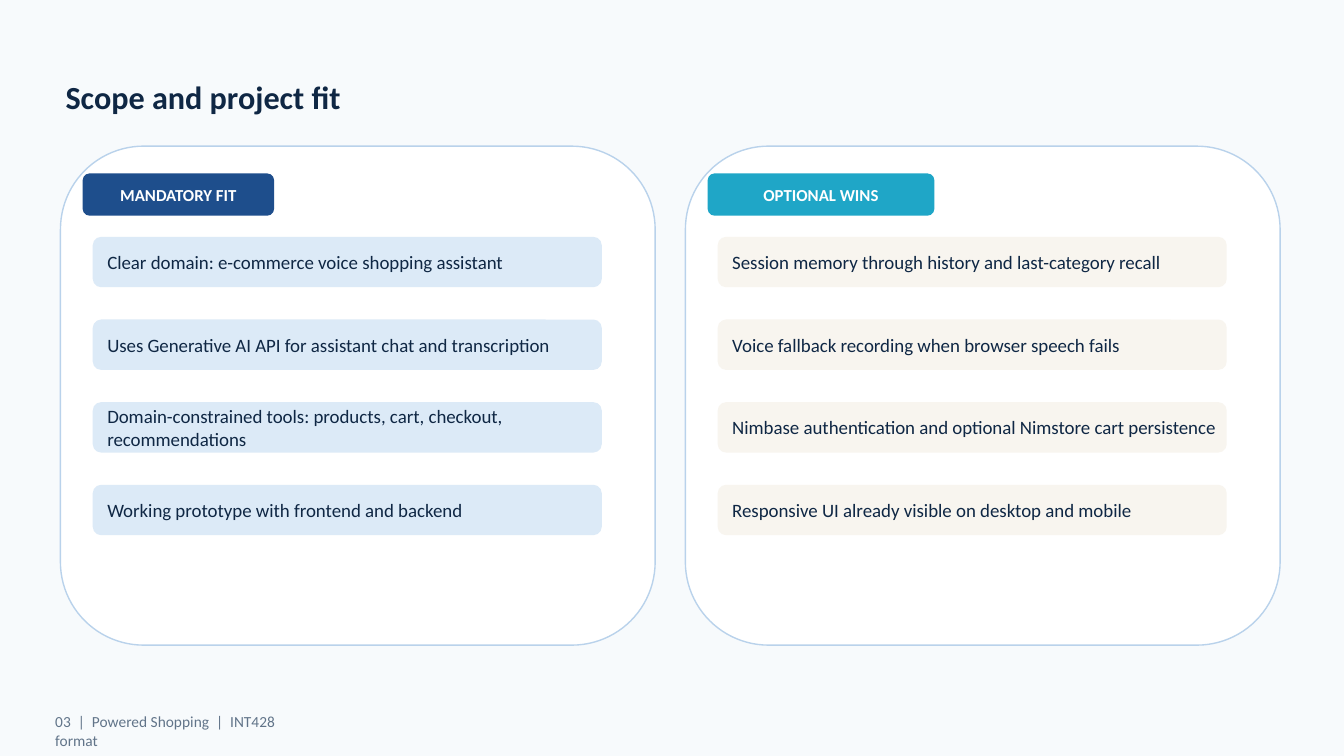
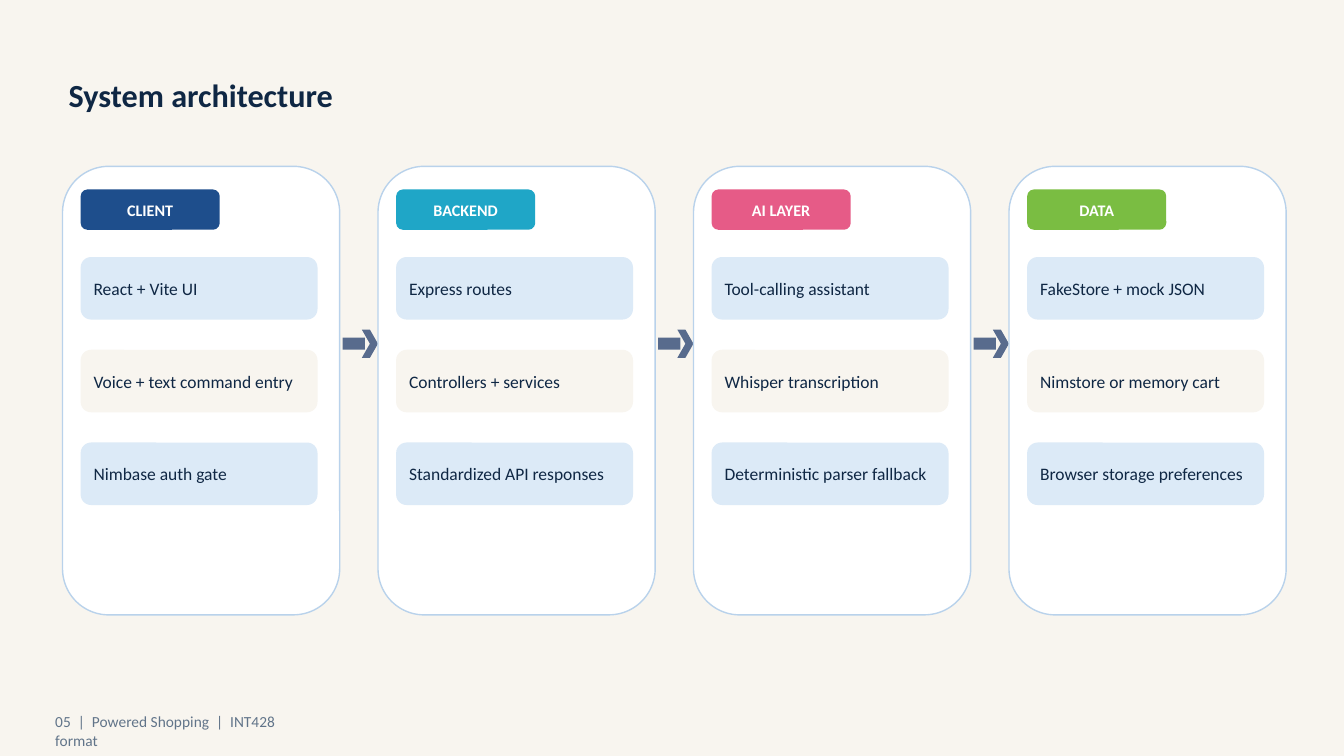
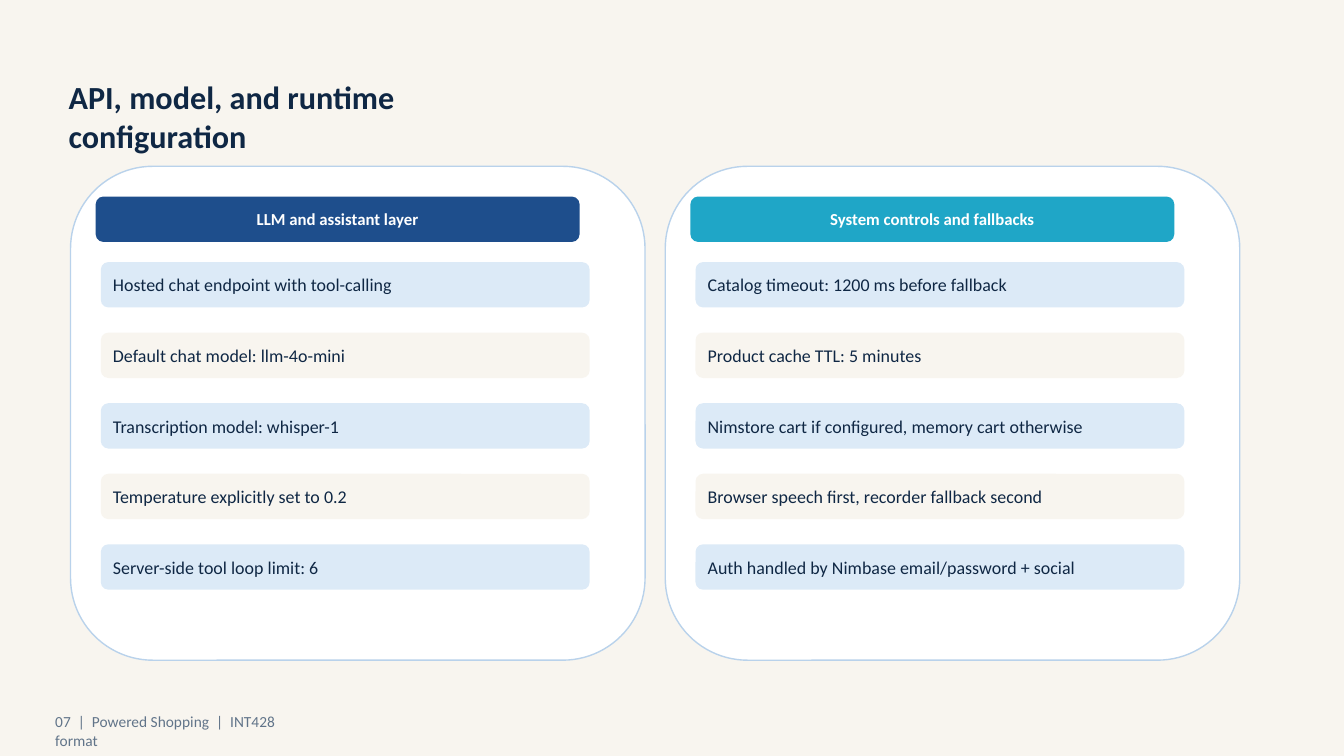
from dataclasses import dataclass
from itertools import cycle

from pptx import Presentation
from pptx.dml.color import RGBColor
from pptx.enum.shapes import MSO_SHAPE
from pptx.enum.text import MSO_ANCHOR, MSO_AUTO_SIZE, PP_ALIGN
from pptx.shapes.autoshape import Shape
from pptx.slide import Slide
from pptx.util import Pt

FONT = "Calibri"
TITLE_ONLY = 5
COLORS = {
    "ice": "F7FAFC", "cream": "F8F5EF", "sky": "DCEAF7", "white": "FFFFFF",
    "outline": "B9D2EB", "ink": "0F2744", "muted": "617489", "slate": "586B8D",
    "navy": "1E4E8C", "teal": "1FA6C7", "pink": "E65B87", "green": "7ABD42",
}
TITLE_FORMAT = {"size": Pt(23), "bold": True}
FOOTER_FORMAT = {"size": Pt(11), "bold": False}


@dataclass(frozen=True)
class Box:
    """A place in points; inside a panel it is relative to the panel."""
    left: float
    top: float
    width: float
    height: float

    def moved(self, right: float, down: float = 0) -> "Box":
        return Box(self.left + right, self.top + down, self.width, self.height)

    def emu(self) -> tuple[Pt, Pt, Pt, Pt]:
        return Pt(self.left), Pt(self.top), Pt(self.width), Pt(self.height)


@dataclass(frozen=True)
class Panel:
    heading: str
    color: str
    heading_width: float
    row_colors: tuple[str, ...]
    rows: tuple[str, ...]


@dataclass(frozen=True)
class Layout:
    """Geometry and text sizes shared by the panels of one slide."""
    panel: Box
    panel_step: float
    heading: Box
    heading_size: float
    row: Box
    row_step: float
    row_size: float
    row_inset: float
    arrows: bool = False


@dataclass(frozen=True)
class Page:
    number: str
    title: str
    title_box: Box
    background: str
    layout: Layout
    panels: tuple[Panel, ...]


FOOTER_BOX = Box(32.4, 505.44, 180, 18.72)
ARROW_SHAFT = Box(2.16, 122.4, 15.84, 8.64)
ARROW_HEAD = Box(15.84, 116.64, 11.52, 20.16)
STRIPES = ("sky", "cream")

PAGES = (
    Page(
        "03", "Scope and project fit", Box(39.6, 51.84, 259.2, 36), "ice",
        Layout(panel=Box(43.2, 104.4, 424.8, 356.4), panel_step=446.4,
               heading=Box(15.84, 19.44, 0, 30.24), heading_size=12,
               row=Box(23.04, 64.8, 363.6, 36), row_step=59.04,
               row_size=13.5, row_inset=8.64),
        (
            Panel("MANDATORY FIT", "navy", 136.8, ("sky",), (
                "Clear domain: e-commerce voice shopping assistant",
                "Uses Generative AI API for assistant chat and transcription",
                "Domain-constrained tools: products, cart, checkout, recommendations",
                "Working prototype with frontend and backend")),
            Panel("OPTIONAL WINS", "teal", 162, ("cream",), (
                "Session memory through history and last-category recall",
                "Voice fallback recording when browser speech fails",
                "Nimbase authentication and optional Nimstore cart persistence",
                "Responsive UI already visible on desktop and mobile")),
        ),
    ),
    Page(
        "05", "System architecture", Box(41.76, 50.4, 302.4, 36), "cream",
        Layout(panel=Box(44.64, 118.8, 198, 320.4), panel_step=225.36,
               heading=Box(12.96, 16.56, 0, 28.8), heading_size=11.5,
               row=Box(12.96, 64.8, 169.2, 44.64), row_step=66.24,
               row_size=12.5, row_inset=7.2, arrows=True),
        (
            Panel("CLIENT", "navy", 99.36, STRIPES, (
                "React + Vite UI", "Voice + text command entry",
                "Nimbase auth gate")),
            Panel("BACKEND", "teal", 99.36, STRIPES, (
                "Express routes", "Controllers + services",
                "Standardized API responses")),
            Panel("AI LAYER", "pink", 99.36, STRIPES, (
                "Tool-calling assistant", "Whisper transcription",
                "Deterministic parser fallback")),
            Panel("DATA", "green", 99.36, STRIPES, (
                "FakeStore + mock JSON", "Nimstore or memory cart",
                "Browser storage preferences")),
        ),
    ),
    Page(
        "07", "API, model, and runtime configuration",
        Box(41.76, 51.84, 374.4, 36), "cream",
        Layout(panel=Box(50.4, 118.8, 410.4, 352.8), panel_step=424.8,
               heading=Box(18, 21.6, 0, 32.4), heading_size=12,
               row=Box(21.6, 68.4, 349.2, 32.4), row_step=50.4,
               row_size=12.8, row_inset=7.2),
        (
            Panel("LLM and assistant layer", "navy", 345.6, STRIPES, (
                "Hosted chat endpoint with tool-calling",
                "Default chat model: llm-4o-mini",
                "Transcription model: whisper-1",
                "Temperature explicitly set to 0.2",
                "Server-side tool loop limit: 6")),
            Panel("System controls and fallbacks", "teal", 345.6, STRIPES, (
                "Catalog timeout: 1200 ms before fallback",
                "Product cache TTL: 5 minutes",
                "Nimstore cart if configured, memory cart otherwise",
                "Browser speech first, recorder fallback second",
                "Auth handled by Nimbase email/password + social")),
        ),
    ),
)


def rgb(color: str) -> RGBColor:
    return RGBColor.from_string(COLORS[color])


def write(holder: Shape, text: str, color: str, font_format: dict,
          frame_format: dict | None = None,
          alignment: PP_ALIGN = PP_ALIGN.LEFT) -> None:
    """Put one formatted paragraph into a shape, text box or placeholder."""
    frame = holder.text_frame
    frame.text = text
    paragraph = frame.paragraphs[0]
    paragraph.alignment = alignment
    frame_values = {"word_wrap": True, "auto_size": MSO_AUTO_SIZE.NONE,
                    "vertical_anchor": MSO_ANCHOR.TOP, **(frame_format or {})}
    for target, values in ((frame, frame_values),
                           (paragraph.font, {"name": FONT, **font_format})):
        for attribute, value in values.items():
            setattr(target, attribute, value)
    paragraph.font.color.rgb = rgb(color)


def inside(left: float, right: float) -> dict:
    """Frame format for vertically centred text with side margins."""
    return {"vertical_anchor": MSO_ANCHOR.MIDDLE, "margin_top": 0,
            "margin_bottom": 0, "margin_left": Pt(left), "margin_right": Pt(right)}


def draw_shape(slide: Slide, box: Box, fill: str, outline: str | None = None,
               preset: MSO_SHAPE = MSO_SHAPE.ROUNDED_RECTANGLE) -> Shape:
    shape = slide.shapes.add_shape(preset, *box.emu())
    shape.shadow.inherit = False
    shape.fill.solid()
    shape.fill.fore_color.rgb = rgb(fill)
    if outline:
        shape.line.color.rgb = rgb(outline)
        shape.line.width = Pt(1)
    else:
        shape.line.fill.background()
    return shape


def draw_panel(slide: Slide, panel: Panel, layout: Layout, place: Box) -> None:
    draw_shape(slide, place, "white", "outline")

    # Coloured heading
    spot = layout.heading
    heading = draw_shape(
        slide, Box(place.left + spot.left, place.top + spot.top,
                   panel.heading_width, spot.height), panel.color)
    write(heading, panel.heading, "white",
          {"size": Pt(layout.heading_size), "bold": True},
          inside(0, 0), PP_ALIGN.CENTER)

    # Rows at an equal step
    first_row = layout.row.moved(place.left, place.top)
    for index, (text, fill) in enumerate(zip(panel.rows, cycle(panel.row_colors))):
        row = draw_shape(slide, first_row.moved(0, index * layout.row_step), fill)
        write(row, text, "ink", {"size": Pt(layout.row_size), "bold": False},
              inside(layout.row_inset, 5.76))


def draw_arrow(slide: Slide, place: Box) -> None:
    """Arrow in the gap to the right of a panel."""
    for part, preset in ((ARROW_SHAFT, MSO_SHAPE.RECTANGLE),
                         (ARROW_HEAD, MSO_SHAPE.CHEVRON)):
        draw_shape(slide, part.moved(place.left + place.width, place.top),
                   "slate", preset=preset)


def draw_page(deck: Presentation, page: Page) -> None:
    slide = deck.slides.add_slide(deck.slide_layouts[TITLE_ONLY])
    slide.background.fill.solid()
    slide.background.fill.fore_color.rgb = rgb(page.background)

    # Title
    title = slide.shapes.title
    title.left, title.top, title.width, title.height = page.title_box.emu()
    write(title, page.title, "ink", TITLE_FORMAT)

    # Panels, with arrows between them
    for index, panel in enumerate(page.panels):
        place = page.layout.panel.moved(index * page.layout.panel_step)
        draw_panel(slide, panel, page.layout, place)
        if page.layout.arrows and index < len(page.panels) - 1:
            draw_arrow(slide, place)

    # Footer
    footer = slide.shapes.add_textbox(*FOOTER_BOX.emu())
    write(footer, f"{page.number}  |  Powered Shopping  |  INT428 format",
          "muted", FOOTER_FORMAT)


def main() -> None:
    deck = Presentation()
    deck.slide_width, deck.slide_height = Pt(960), Pt(540)
    for page in PAGES:
        draw_page(deck, page)
    deck.save("out.pptx")


if __name__ == "__main__":
    main()
